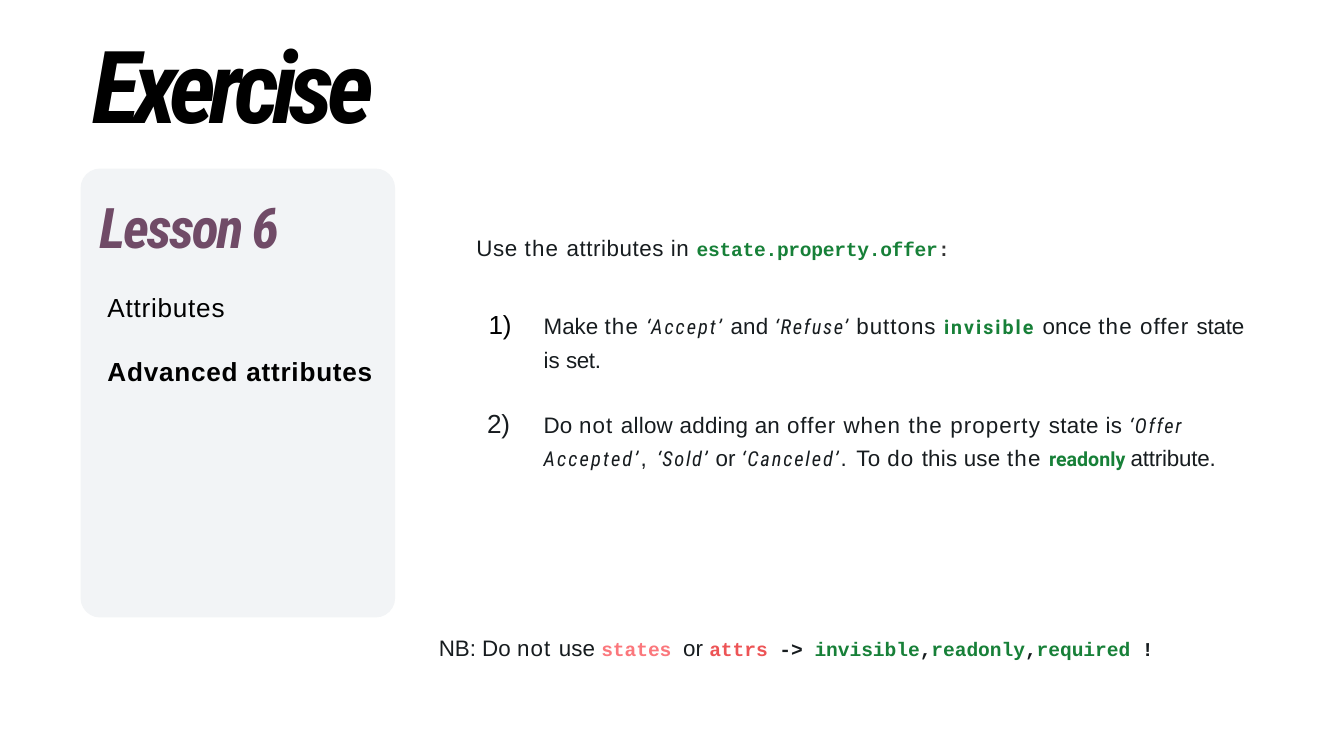
from typing import NamedTuple

from lxml import etree
from pptx import Presentation, util as u
from pptx.dml.color import RGBColor
from pptx.enum import shapes, text
from pptx.oxml.ns import qn

WIDTH, HEIGHT = u.Pt(720), u.Pt(405)

COLORS = {
    "ink": "171C1F", "black": "000000", "grey": "333333", "green": "178038",
    "plum": "704B67", "pink": "FB777C", "red": "ED5456", "panel": "F2F4F6",
}
ARIAL, CONDENSED, ROBOTO, COURIER = "Arial", "Roboto Condensed", "Roboto", "Courier New"


class Style(NamedTuple):
    name: str
    size: float
    color: str
    bold: bool = False
    italic: bool = False


STYLES = {
    "title": Style(CONDENSED, 54, "black", True, True),
    "lesson": Style(CONDENSED, 30, "plum", True, True),
    "topic": Style(ARIAL, 14, "black"),
    "current": Style(ARIAL, 14, "black", True),
    "number": Style(ARIAL, 14, "ink"),
    "body": Style(ARIAL, 12, "ink"),
    "quote": Style(CONDENSED, 11, "ink", italic=True),
    "keyword": Style(ROBOTO, 10.5, "green", True),
    "code": Style(COURIER, 10.5, "green", True),
    "colon": Style(COURIER, 10.5, "grey", True),
    "mark": Style(COURIER, 10.5, "ink", True),
    "states": Style(COURIER, 10.5, "pink", True),
    "attrs": Style(COURIER, 10.5, "red", True),
}


class Run(NamedTuple):
    words: str
    style: str = "body"
    tracking: float = 0


class Paragraph(NamedTuple):
    runs: list[Run]
    margin: float = 0.01
    hanging: float = 0
    format: dict = {}


class Area(NamedTuple):
    left: float
    top: float
    width: float
    height: float

    def emu(self) -> list[int]:
        sides = (WIDTH, HEIGHT, WIDTH, HEIGHT)
        return [round(side * percent / 100) for side, percent in zip(sides, self)]


class Block(NamedTuple):
    area: Area
    paragraphs: list[Paragraph]
    inset: float = 0.01


def rgb(key: str) -> RGBColor:
    return RGBColor.from_string(COLORS[key])


def add_run(paragraph, item: Run) -> None:
    run = paragraph.add_run()
    run.text = item.words
    style = STYLES[item.style]
    values = {**style._asdict(), "size": u.Pt(style.size)}
    run.font.color.rgb = rgb(values.pop("color"))
    for key, value in values.items():
        setattr(run.font, key, value)
    run._r.get_or_add_rPr().set("spc", str(round(item.tracking * 100)))


def add_paragraph(paragraph, item: Paragraph) -> None:
    for key, value in item.format.items():
        setattr(paragraph, key, value)
    properties = paragraph._p.get_or_add_pPr()
    properties.set("marL", str(u.Inches(item.margin)))
    properties.set("indent", str(-u.Inches(item.hanging)))
    if item.hanging:
        tabs = etree.SubElement(properties, qn("a:tabLst"))
        etree.SubElement(tabs, qn("a:tab"), pos=str(u.Inches(item.margin)), algn="l")
    for run in item.runs:
        add_run(paragraph, run)


def add_block(slide, block: Block) -> None:
    frame = slide.shapes.add_textbox(*block.area.emu()).text_frame
    values = {
        "word_wrap": True, "auto_size": text.MSO_AUTO_SIZE.NONE,
        "margin_left": 0, "margin_right": 0, "margin_bottom": 0,
        "margin_top": u.Inches(block.inset),
    }
    for key, value in values.items():
        setattr(frame, key, value)
    for index, item in enumerate(block.paragraphs):
        add_paragraph(frame.add_paragraph() if index else frame.paragraphs[0], item)


def add_panel(slide, area: Area) -> None:
    panel = slide.shapes.add_shape(shapes.MSO_SHAPE.ROUNDED_RECTANGLE, *area.emu())
    panel.adjustments[0] = 0.06
    panel.shadow.inherit = False
    panel.fill.solid()
    panel.fill.fore_color.rgb = rgb("panel")
    panel.line.color.rgb = rgb("panel")
    panel.line.width = u.Pt(0.75)


TASK = {"line_spacing": u.Pt(17.4)}
TOPIC = {"line_spacing": 1.88, "space_before": u.Pt(2.5)}

PANEL = Area(6.05, 22.4, 23.3, 59.2)

BLOCKS = [
    Block(Area(1.9, 2.84, 33.7, 17.24), [
        Paragraph([Run("Exercise", "title", -3.75)], 0.5),
    ]),
    Block(Area(7.3, 25.24, 21.3, 26.13), [
        Paragraph([Run("Lesson 6", "lesson", -1.2)]),
        Paragraph([Run("Attributes", "topic", 0.4)], 0.07, format=TOPIC),
        Paragraph([Run("Advanced attributes", "current", 0.4)], 0.07, format=TOPIC),
    ]),
    Block(Area(35.35, 30.76, 36, 4.09), [
        Paragraph([
            Run("Use ", tracking=0.3), Run("the ", tracking=0.6),
            Run("attributes in ", tracking=0.3),
            Run("estate.property.offer", "code", -0.1), Run(":", "colon", -0.1),
        ]),
    ]),
    Block(Area(36.25, 40.18, 57.5, 9.07), [
        Paragraph([
            Run("1)\t", "topic", -0.2), Run("Make "), Run("the ", tracking=0.6),
            Run("‘Accept’ ", "quote", 1.05), Run("and ", tracking=0.1),
            Run("‘Refuse’ ", "quote", 0.9), Run("buttons ", tracking=0.55),
            Run("invisible ", "keyword", 1.1), Run("once ", tracking=0.1),
            Run("the ", tracking=0.6), Run("offer ", tracking=0.5),
            Run("state ", tracking=-0.1), Run("is "), Run("set.", tracking=-0.2),
        ], 0.42, 0.41, TASK),
    ], 0.03),
    Block(Area(36.05, 53.16, 56, 9.07), [
        Paragraph([
            Run("2)\t", "number", -0.2), Run("Do ", tracking=0.1),
            Run("not ", tracking=0.6), Run("allow adding an ", tracking=0.15),
            Run("offer when ", tracking=0.55), Run("the property ", tracking=0.6),
            Run("state is ", tracking=0.2),
            Run("‘Offer ", "quote", 0.9), Run("Accepted’", "quote", 1.1),
            Run(", ", tracking=1.1), Run("‘Sold’ ", "quote", 0.85), Run("or "),
            Run("‘Canceled’", "quote", 0.95), Run(". ", tracking=0.9),
            Run("To ", tracking=0.2), Run("do ", tracking=0.6),
            Run("this use ", tracking=0.1), Run("the ", tracking=0.6),
            Run("readonly ", "keyword", 0.05), Run("attribute.", tracking=-0.1),
        ], 0.44, 0.42, TASK),
    ], 0.03),
    Block(Area(32.55, 83.73, 54, 4.09), [
        Paragraph([
            Run("NB: Do "), Run("not ", tracking=0.6), Run("use "),
            Run("states ", "states"), Run("or "), Run("attrs ", "attrs"),
            Run("-", "mark", -0.1), Run("> ", "mark"), Run("invisible", "code"),
            Run(",", "mark"), Run("readonly", "code"), Run(",", "mark"),
            Run("required ", "code"), Run("!", "mark", -0.5),
        ]),
    ]),
]


def main() -> None:
    deck = Presentation()
    deck.slide_width, deck.slide_height = WIDTH, HEIGHT
    slide = deck.slides.add_slide(deck.slide_layouts[6])
    add_panel(slide, PANEL)
    for block in BLOCKS:
        add_block(slide, block)
    deck.save("out.pptx")


if __name__ == "__main__":
    main()
